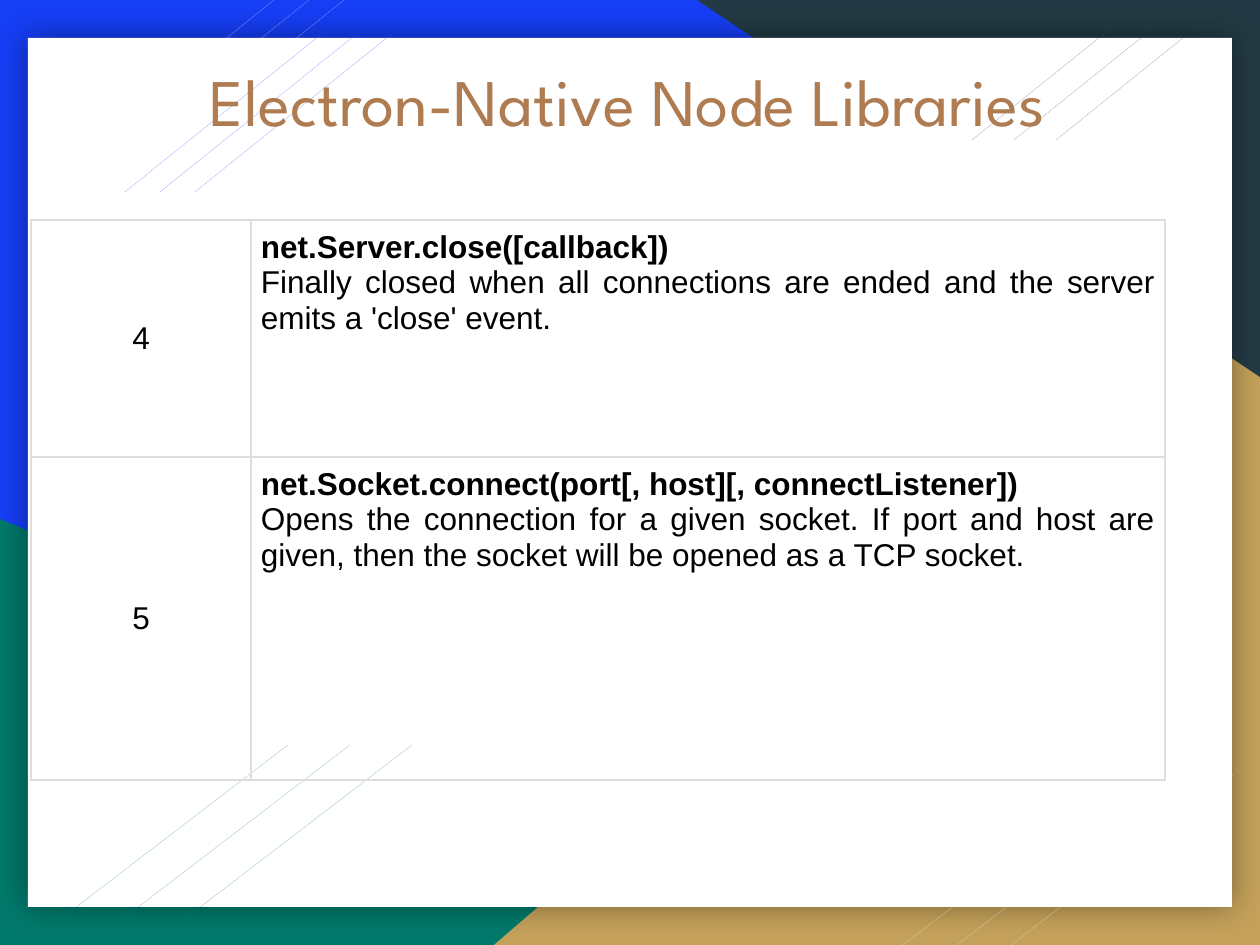
from lxml import etree
from pptx import Presentation
from pptx import util as u
from pptx.dml.color import RGBColor
from pptx.enum import shapes, text
from pptx.oxml import ns

PX = 914400 / 126  # EMU in one px
BLUE = RGBColor(0x16, 0x3E, 0xF5)
TEAL = RGBColor(0x00, 0x79, 0x6B)
GOLD = RGBColor(0xC4, 0xA1, 0x5A)
SLATE = RGBColor(0x23, 0x3A, 0x44)
WHITE = RGBColor(0xFF, 0xFF, 0xFF)
BLACK = RGBColor(0x00, 0x00, 0x00)
BRONZE = RGBColor(0xAF, 0x7B, 0x51)
GRID = RGBColor(0xDD, 0xDD, 0xDD)

ENTRIES = [
    ("4", "net.Server.close([callback])",
     "Finally closed when all connections are ended and the server emits a "
     "'close' event."),
    ("5", "net.Socket.connect(port[, host][, connectListener])",
     "Opens the connection for a given socket. If port and host are given, "
     "then the socket will be opened as a TCP socket."),
]


def px(n):
    return u.Emu(round(n * PX))


def add_sub(parent, tag, **attrs):
    return etree.SubElement(parent, ns.qn(tag), attrs)


def add_filled(s, kind, box, color):
    sp = s.shapes.add_shape(kind, *map(px, box))
    sp.fill.solid()
    sp.fill.fore_color.rgb = color
    sp.line.fill.background()
    sp.shadow.inherit = False
    return sp


def add_backdrop(s, w, h):
    """Coloured corners behind a white card."""
    s.background.fill.solid()
    s.background.fill.fore_color.rgb = BLUE
    tri = shapes.MSO_SHAPE.RIGHT_TRIANGLE
    add_filled(s, tri, (0, h - 426, 1016, 426), TEAL)
    gold = add_filled(s, tri, (w - 766, h - 660, 766, 660), GOLD)
    gold._element.spPr.find(ns.qn("a:xfrm")).set("flipH", "1")
    add_filled(s, tri, (w - 563, 0, 563, 377), SLATE).rotation = 180

    # Card with a soft shadow all round
    card = add_filled(s, shapes.MSO_SHAPE.RECTANGLE,
                      (28, 38, w - 56, h - 76), WHITE)
    effects = card._element.spPr.find(ns.qn("a:effectLst"))
    glow = add_sub(effects, "a:outerShdw", blurRad=str(u.Pt(18)), dist="0",
                   dir="0", algn="ctr", rotWithShape="0")
    add_sub(add_sub(glow, "a:srgbClr", val="000000"), "a:alpha", val="40000")


def add_stripes(s, box, step, adj, color):
    """Three hairline slanted stripes, the leftmost filling the box."""
    left, top, w, h = box
    for i in range(3):
        sp = add_filled(s, shapes.MSO_SHAPE.PARALLELOGRAM,
                        (left + i * step, top, w, h), color)
        sp.adjustments[0] = adj


def add_title(s, box, title):
    sp = s.shapes.title
    s.shapes._spTree.append(sp._element)  # bring above the backdrop
    sp.left, sp.top, sp.width, sp.height = map(px, box)
    tf = sp.text_frame
    tf.text = title
    tf.word_wrap = True
    tf.auto_size = text.MSO_AUTO_SIZE.NONE
    tf.vertical_anchor = text.MSO_ANCHOR.MIDDLE
    p = tf.paragraphs[0]
    p.alignment = text.PP_ALIGN.CENTER
    font = p.runs[0].font
    font.name, font.size = "League Spartan", u.Pt(38)
    font.color.rgb = BRONZE


def add_borders(cell):
    tc_pr = cell._tc.get_or_add_tcPr()
    for i, side in enumerate("LRTB"):
        ln = etree.Element(ns.qn("a:ln" + side), w=str(u.Pt(0.75)))
        add_sub(add_sub(ln, "a:solidFill"), "a:srgbClr", val=str(GRID))
        tc_pr.insert(i, ln)


def fill_cell(cell, lines, align, anchor):
    cell.fill.background()
    add_borders(cell)
    cell.margin_left = cell.margin_right = px(10)
    cell.margin_top = cell.margin_bottom = px(10)
    cell.vertical_anchor = anchor
    cell.text_frame.text = "\n".join(lines)
    for i, p in enumerate(cell.text_frame.paragraphs):
        p.alignment = align
        font = p.runs[0].font
        font.name, font.size = "Arial", u.Pt(18)
        font.bold = len(lines) > 1 and i == 0
        font.color.rgb = BLACK


def add_entries(s, left, top, widths, heights):
    box = (left, top, sum(widths), sum(heights))
    frame = s.shapes.add_table(len(heights), len(widths), *map(px, box))
    table = frame.table
    table.first_row = table.horz_banding = False
    for col, w in zip(table.columns, widths):
        col.width = px(w)
    for row, h, (number, call, note) in zip(table.rows, heights, ENTRIES):
        row.height = px(h)
        fill_cell(row.cells[0], [number], text.PP_ALIGN.CENTER,
                  text.MSO_ANCHOR.MIDDLE)
        fill_cell(row.cells[1], [call, note], text.PP_ALIGN.JUSTIFY,
                  text.MSO_ANCHOR.TOP)


def main():
    prs = Presentation()
    prs.slide_width, prs.slide_height = px(1260), px(945)
    s = prs.slides.add_slide(prs.slide_layouts[5])
    add_backdrop(s, 1260, 945)
    # Stripes in the corners
    add_stripes(s, (35, 0, 239, 192), 35, 1.53, WHITE)
    add_stripes(s, (125, 0, 239, 192), 35, 1.53, BLUE)
    add_stripes(s, (972, 1, 173, 139), 42, 1.58, SLATE)
    add_stripes(s, (903, 775, 222, 170), 54, 1.58, WHITE)
    add_stripes(s, (28, 745, 260, 199), 62, 1.58, TEAL)
    add_title(s, (84, 42, 1071, 116), " Electron-Native Node Libraries")
    add_entries(s, 31, 220, (220, 914), (237, 323))
    prs.save("out.pptx")


if __name__ == "__main__":
    main()
